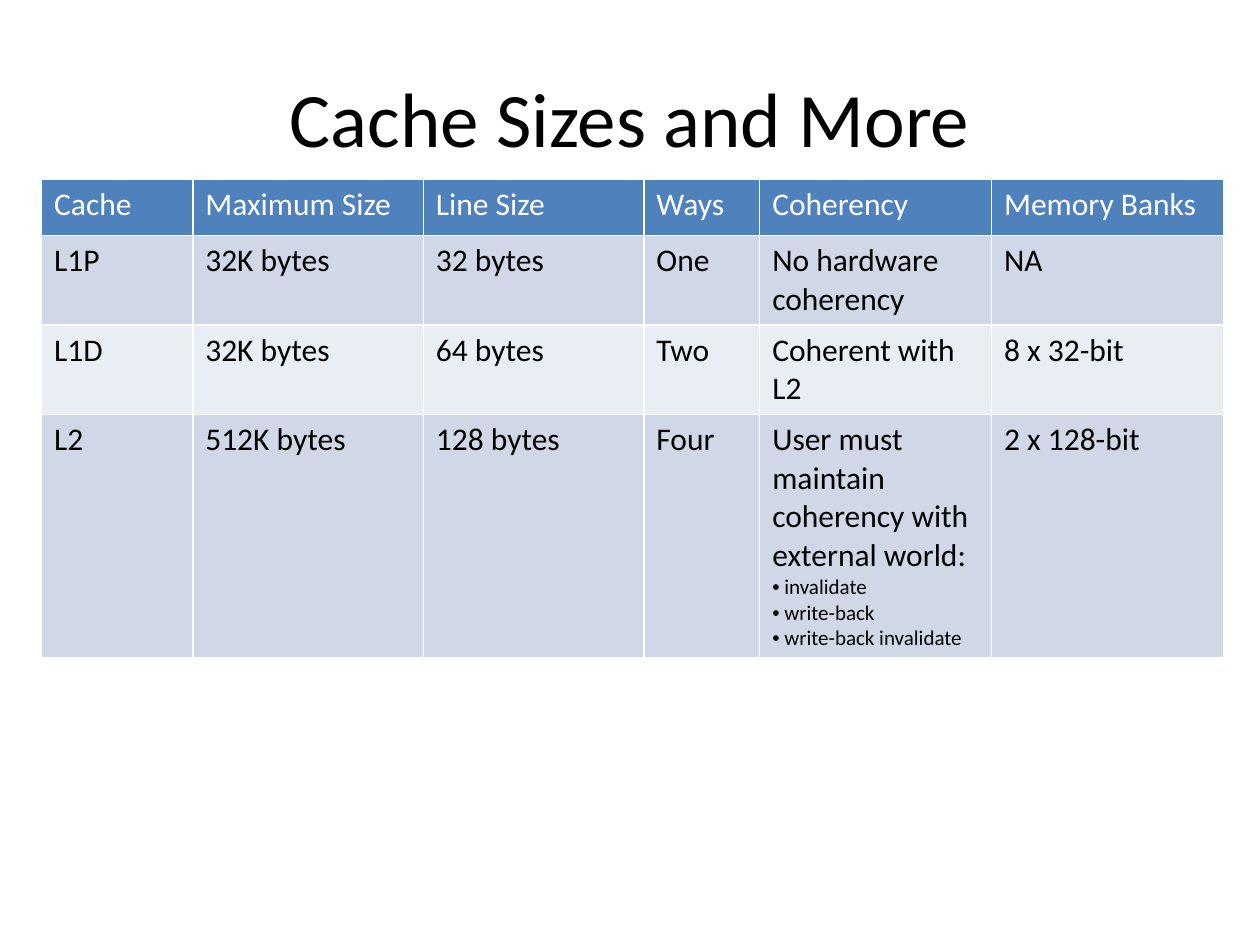
from lxml import etree
from pptx import Presentation
from pptx.dml.color import RGBColor
from pptx.enum.text import MSO_ANCHOR, PP_ALIGN
from pptx.oxml.ns import qn
from pptx.util import Inches, Pt

MID = MSO_ANCHOR.MIDDLE
LEFT, CENTER = PP_ALIGN.LEFT, PP_ALIGN.CENTER
WIDE, HIGH = 10, 7.5
FONT = "Calibri"
INK = {"text": "000000", "head": "4F81BD", "odd": "D0D8E8",
       "even": "E9EDF4", "white": "FFFFFF"}
COLS = [1.2, 1.83, 1.75, 0.92, 1.84, 1.84]
ROWS = [0.45, 0.71, 0.71, 1.93]
DATA = [
    ["Cache", "Maximum Size ", "Line Size", "Ways", "Coherency ", "Memory Banks"],
    ["L1P", "32K bytes", "32 bytes", "One", "No hardware coherency", "NA"],
    ["L1D", "32K bytes", "64 bytes", "Two", "Coherent with L2", "8 x 32-bit"],
    ["L2", "512K bytes", "128 bytes", "Four",
     "User must maintain coherency with external world:", "2 x 128-bit"],
]
STEPS = [" invalidate", " write-back", " write-back invalidate "]


def color(name):
    return RGBColor.from_string(INK[name])


def write(para, text, size=18, ink="text", align=LEFT, bullet=False):
    para.alignment = align
    run = para.add_run()
    run.text = text
    run.font.name = FONT
    run.font.size = Pt(size)
    run.font.color.rgb = color(ink)
    if bullet:
        props = para._p.get_or_add_pPr()
        etree.SubElement(props, qn("a:buFont")).set("typeface", "Arial")
        etree.SubElement(props, qn("a:buChar")).set("char", "•")


def edge(cell, ink="white", width=1):
    props = cell._tc.get_or_add_tcPr()
    for spot, side in enumerate(("lnL", "lnR", "lnT", "lnB")):
        line = etree.Element(qn("a:" + side), w=str(Pt(width)))
        fill = etree.SubElement(line, qn("a:solidFill"))
        etree.SubElement(fill, qn("a:srgbClr")).set("val", INK[ink])
        props.insert(spot, line)


def title(slide, box, text):
    frame = slide.shapes.add_textbox(*map(Inches, box)).text_frame
    frame.word_wrap = True
    frame.vertical_anchor = MID
    write(frame.paragraphs[0], text, size=44, align=CENTER)


def grid(slide, left, top):
    box = map(Inches, (left, top, sum(COLS), sum(ROWS)))
    table = slide.shapes.add_table(len(ROWS), len(COLS), *box).table
    for col, width in zip(table.columns, COLS):
        col.width = Inches(width)
    for row, (line, height) in enumerate(zip(DATA, ROWS)):
        table.rows[row].height = Inches(height)
        back = "head" if row == 0 else ("odd" if row % 2 else "even")
        for col, text in enumerate(line):
            cell = table.cell(row, col)
            cell.fill.solid()
            cell.fill.fore_color.rgb = color(back)
            edge(cell)
            write(cell.text_frame.paragraphs[0], text,
                  ink="text" if row else "white")
    frame = table.cell(3, 4).text_frame
    for step in STEPS:
        write(frame.add_paragraph(), step, size=12, bullet=True)


def main():
    deck = Presentation()
    deck.slide_width, deck.slide_height = Inches(WIDE), Inches(HIGH)
    slide = deck.slides.add_slide(deck.slide_layouts[6])
    title(slide, (WIDE * 0.05, HIGH * 0.04, WIDE * 0.9, 1.25),
          "Cache Sizes and More")
    grid(slide, 0.33, 1.42)
    deck.save("out.pptx")


main()
